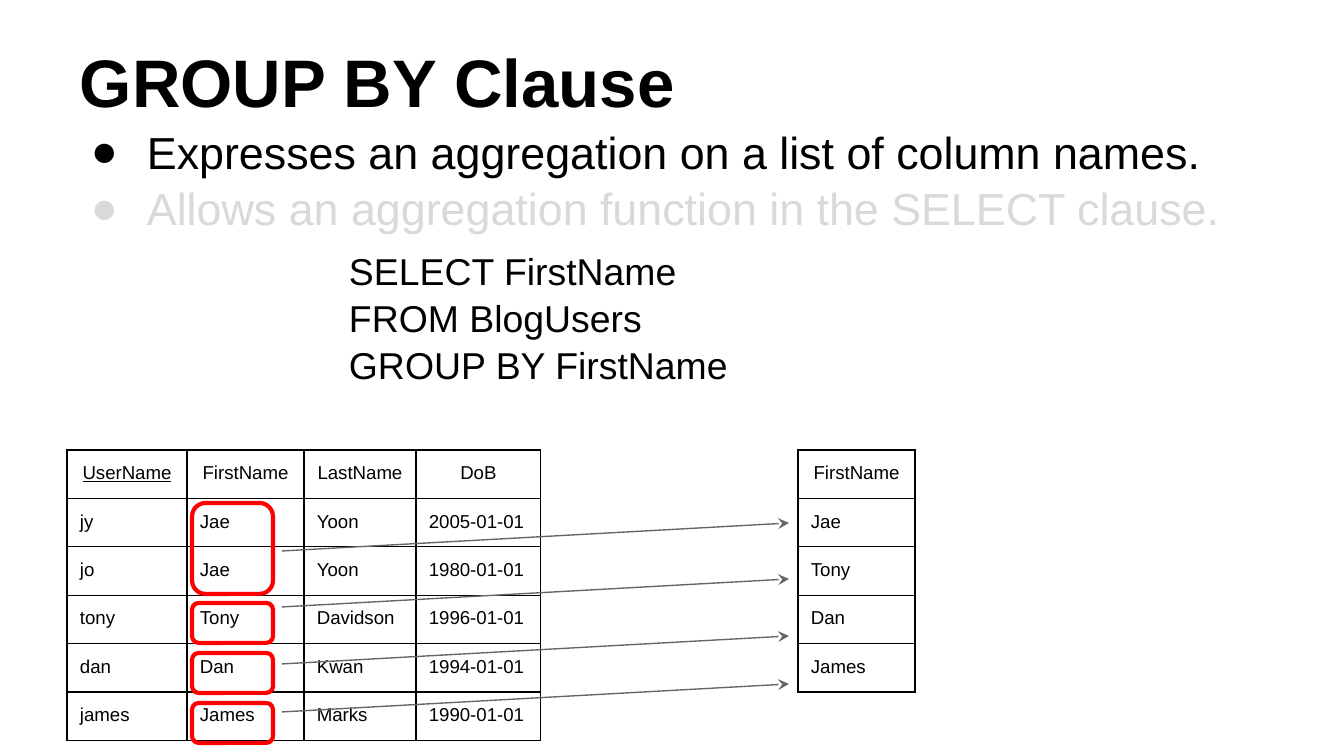
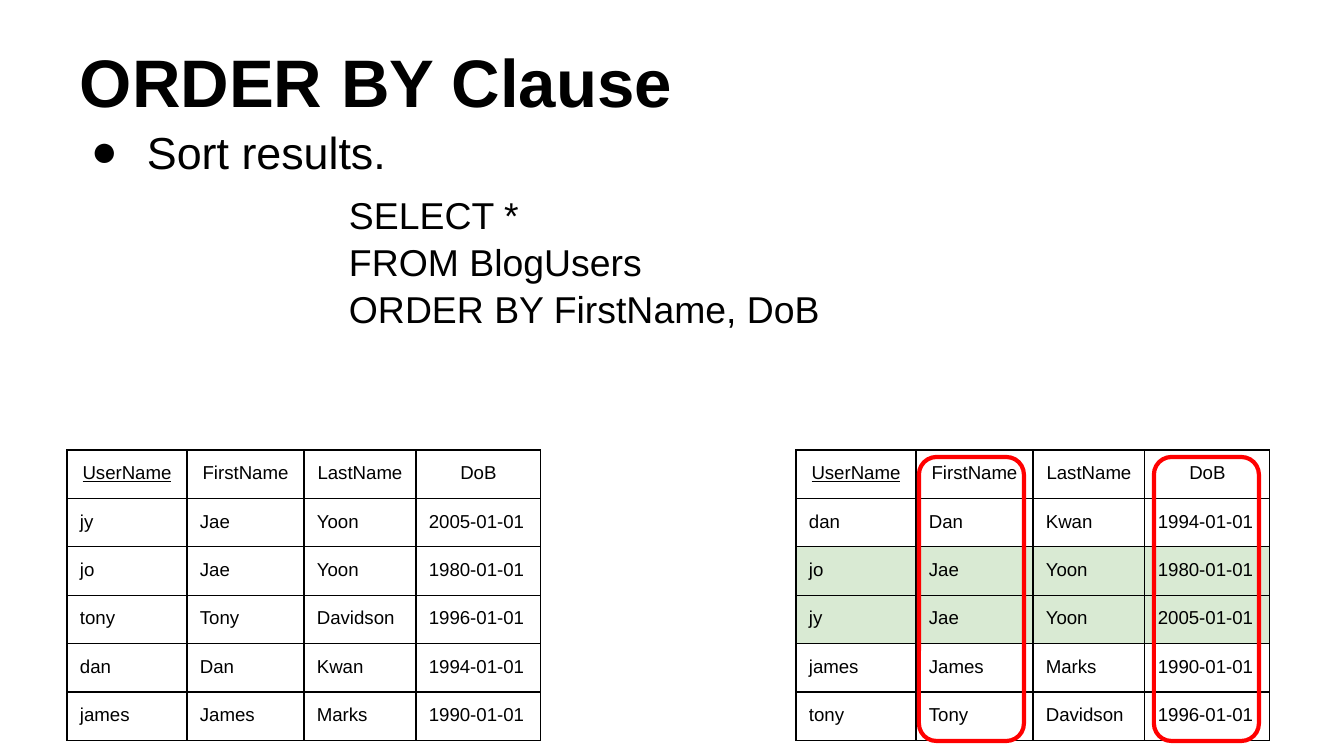
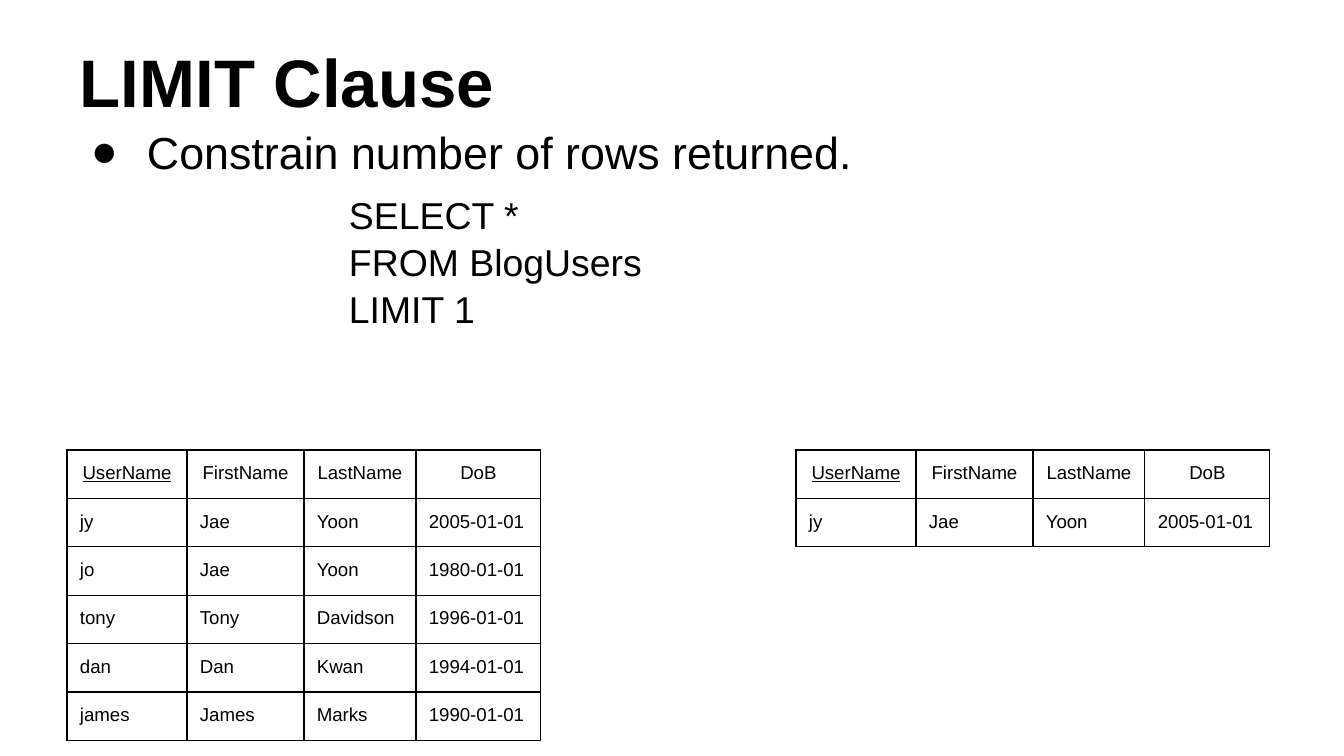
from lxml import etree
from pptx import Presentation
from pptx.dml.color import RGBColor
from pptx.enum.shapes import MSO_CONNECTOR, MSO_SHAPE
from pptx.enum.text import MSO_ANCHOR, PP_ALIGN
from pptx.oxml.ns import qn
from pptx.util import Emu, Pt

STRAIGHT = MSO_CONNECTOR.STRAIGHT
ROUNDED = MSO_SHAPE.ROUNDED_RECTANGLE
TOP, BOTTOM = MSO_ANCHOR.TOP, MSO_ANCHOR.BOTTOM
LEFT, CENTER = PP_ALIGN.LEFT, PP_ALIGN.CENTER

BLACK = RGBColor(0x00, 0x00, 0x00)
PALE = RGBColor(0xD9, 0xD9, 0xD9)
GRAY = RGBColor(0x66, 0x66, 0x66)
RED = RGBColor(0xFF, 0x00, 0x00)
GREEN = RGBColor(0xD9, 0xEA, 0xD3)

FONT = "Arial"
SCALE = 914400 / 134.4
SLIDE_W, SLIDE_H = 1344, 756
TITLE_BOX = (67, 8, 1210, 126)
BODY_BOX = (67, 109, 1266, 632)
INSET = 13
BULLET_INDENT, BULLET_HANG, CODE_INDENT = 67, 56, 269
TABLE_TOP, ROW_H = 450, 31
SOURCE_LEFT, GROUPED_LEFT, RESULT_LEFT = 67, 798, 796
COL_W = {"UserName": 120, "FirstName": 117, "LastName": 112, "DoB": 125}
KEY = "UserName"

JY = ("jy", "Jae", "Yoon", "2005-01-01")
JO = ("jo", "Jae", "Yoon", "1980-01-01")
TONY = ("tony", "Tony", "Davidson", "1996-01-01")
DAN = ("dan", "Dan", "Kwan", "1994-01-01")
JAMES = ("james", "James", "Marks", "1990-01-01")
COLUMNS = tuple(COL_W)
USERS = [JY, JO, TONY, DAN, JAMES]

SLIDES = [
    {
        "title": "GROUP BY Clause",
        "bullets": [
            ("Expresses an aggregation on a list of column names.", BLACK),
            ("Allows an aggregation function in the SELECT clause.", PALE),
        ],
        "code": "SELECT FirstName\nFROM BlogUsers\nGROUP BY FirstName",
        "result": (GROUPED_LEFT, ("FirstName",),
                   [("Jae",), ("Tony",), ("Dan",), ("James",)]),
        "arrows": [(282, y, 789, y - 28) for y in (551, 607, 664, 712)],
        "marks": [(192, 503, 81, 91)]
                 + [(192, 603 + 50 * i, 81, 40) for i in range(3)],
    },
    {
        "title": "ORDER BY Clause",
        "bullets": [("Sort results.", BLACK)],
        "code": "SELECT *\nFROM BlogUsers\nORDER BY FirstName, DoB",
        "result": (RESULT_LEFT, COLUMNS, [DAN, JO, JY, JAMES, TONY]),
        "tied": (JO, JY),
        "marks": [(x, 457, 105, 284) for x in (1154, 919)],
    },
    {
        "title": "LIMIT Clause",
        "bullets": [("Constrain number of rows returned.", BLACK)],
        "code": "SELECT *\nFROM BlogUsers\nLIMIT 1",
        "result": (RESULT_LEFT, COLUMNS, [JY]),
    },
]


def px(*values):
    return [Emu(round(v * SCALE)) for v in values]


def style(p, size, color=BLACK, bold=False):
    for r in p.runs:
        r.font.name, r.font.size, r.font.bold = FONT, Pt(size), bold
        r.font.color.rgb = color


def add_frame(s, box, anchor):
    tf = s.shapes.add_textbox(*px(*box)).text_frame
    tf.word_wrap = True
    tf.vertical_anchor = anchor
    tf.margin_left = tf.margin_top = tf.margin_right = tf.margin_bottom = px(INSET)[0]
    return tf


def indent(p, left, hang=0):
    pPr = p._p.get_or_add_pPr()
    pPr.set("marL", str(px(left)[0]))
    pPr.set("indent", str(px(-hang)[0]))
    return pPr


def add_bullet(p, color):
    pPr = indent(p, BULLET_INDENT, BULLET_HANG)
    clr = etree.SubElement(pPr, qn("a:buClr"))
    etree.SubElement(clr, qn("a:srgbClr"), val=str(color))
    etree.SubElement(pPr, qn("a:buFont"), typeface=FONT)
    etree.SubElement(pPr, qn("a:buChar"), char="●")


def add_body(s, bullets, code):
    tf = add_frame(s, BODY_BOX, TOP)
    for i, (text, color) in enumerate(bullets):
        p = tf.paragraphs[0] if i == 0 else tf.add_paragraph()
        p.text = text
        p.line_spacing = 1.05
        p.space_before = Pt(0 if i else 6)
        add_bullet(p, color)
        style(p, 24, color)
    p = tf.add_paragraph()
    p.text = code
    p.line_spacing = 1.05
    p.space_before = Pt(6)
    indent(p, CODE_INDENT)
    style(p, 20)


def add_borders(cell):
    tcPr = cell._tc.get_or_add_tcPr()
    for side in ("lnL", "lnR", "lnT", "lnB"):
        ln = etree.SubElement(tcPr, qn(f"a:{side}"), w=str(Pt(0.75)))
        fill = etree.SubElement(ln, qn("a:solidFill"))
        etree.SubElement(fill, qn("a:srgbClr"), val=str(BLACK))


def add_data_table(s, left, columns, rows, tied=()):
    """Draw a header and rows, shading the rows listed in tied."""
    widths = [COL_W[name] for name in columns]
    n_rows = len(rows) + 1
    table = s.shapes.add_table(
        n_rows, len(columns),
        *px(left, TABLE_TOP, sum(widths), ROW_H * n_rows)).table
    table.first_row = table.horz_banding = False
    for col, width in zip(table.columns, px(*widths)):
        col.width = width
    for i, values in enumerate([columns, *rows]):
        table.rows[i].height = px(ROW_H)[0]
        for j, value in enumerate(values):
            cell = table.cell(i, j)
            cell.margin_left = cell.margin_right = px(INSET)[0]
            cell.margin_top = cell.margin_bottom = px(INSET)[0]
            add_borders(cell)
            if values in tied:
                cell.fill.solid()
                cell.fill.fore_color.rgb = GREEN
            else:
                cell.fill.background()
            p = cell.text_frame.paragraphs[0]
            p.text = value
            p.alignment = CENTER if i == 0 else LEFT
            style(p, 10)
            p.runs[0].font.underline = value == KEY


def add_arrow(s, ends):
    arrow = s.shapes.add_connector(STRAIGHT, *px(*ends))
    arrow.line.color.rgb = GRAY
    arrow.line.width = Pt(0.75)
    etree.SubElement(arrow.line._get_or_add_ln(), qn("a:tailEnd"),
                     type="stealth", w="med", len="med")
    etree.SubElement(arrow._element.spPr, qn("a:effectLst"))


def add_mark(s, box):
    sp = s.shapes.add_shape(ROUNDED, *px(*box))
    sp.shadow.inherit = False
    sp.fill.background()
    sp.line.color.rgb = RED
    sp.line.width = Pt(2.25)


def add_slide(prs, data):
    s = prs.slides.add_slide(prs.slide_layouts[6])
    p = add_frame(s, TITLE_BOX, BOTTOM).paragraphs[0]
    p.text = data["title"]
    style(p, 36, bold=True)
    add_body(s, data["bullets"], data["code"])
    add_data_table(s, SOURCE_LEFT, COLUMNS, USERS)
    add_data_table(s, *data["result"], data.get("tied", ()))
    for ends in data.get("arrows", ()):
        add_arrow(s, ends)
    for box in data.get("marks", ()):
        add_mark(s, box)


def main():
    prs = Presentation()
    prs.slide_width, prs.slide_height = px(SLIDE_W, SLIDE_H)
    for data in SLIDES:
        add_slide(prs, data)
    prs.save("out.pptx")


if __name__ == "__main__":
    main()
